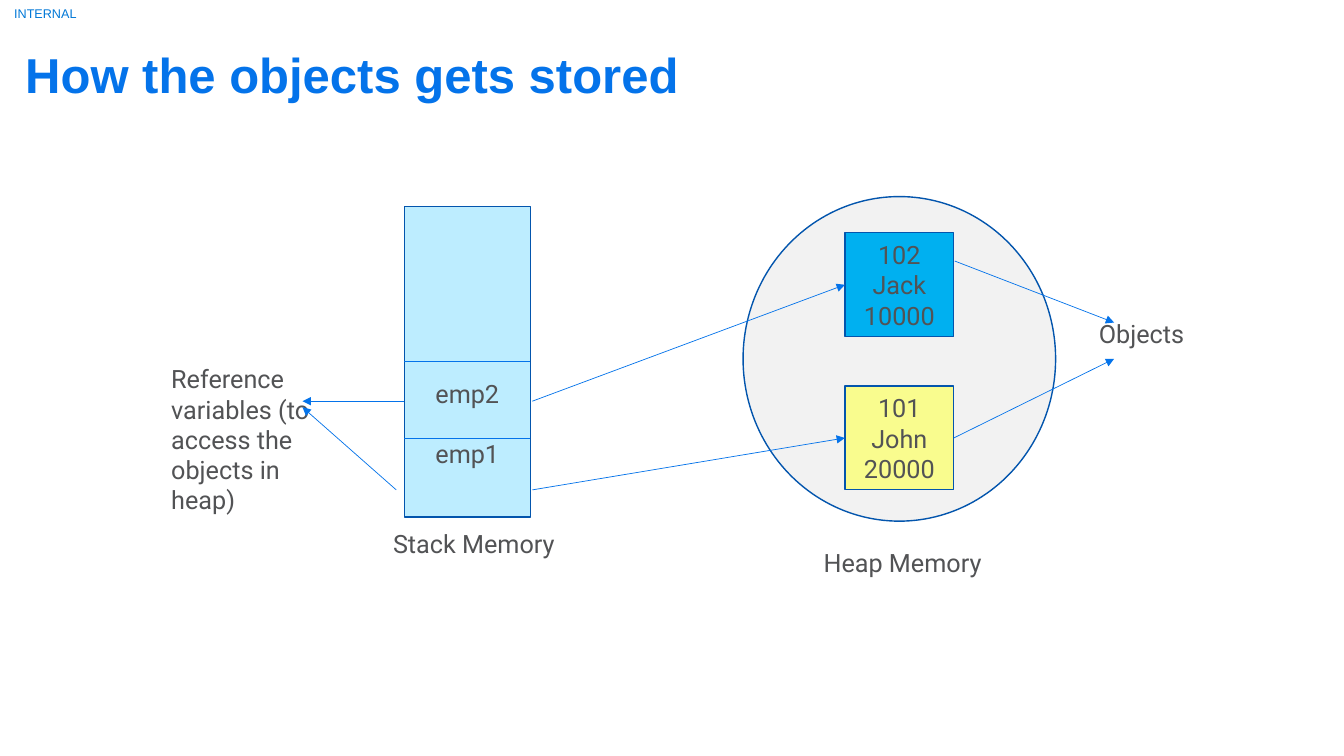
"""Build a slide showing how objects are stored in stack and heap memory."""
from lxml import etree
from pptx import Presentation
from pptx.dml.color import RGBColor
from pptx.enum.shapes import MSO_CONNECTOR, MSO_SHAPE
from pptx.enum.text import MSO_ANCHOR, PP_ALIGN
from pptx.oxml.ns import qn
from pptx.util import Inches, Pt

RECT, OVAL = MSO_SHAPE.RECTANGLE, MSO_SHAPE.OVAL
STRAIGHT = MSO_CONNECTOR.STRAIGHT
LEFT, CENTER = PP_ALIGN.LEFT, PP_ALIGN.CENTER
TOP, MIDDLE, BOTTOM = MSO_ANCHOR.TOP, MSO_ANCHOR.MIDDLE, MSO_ANCHOR.BOTTOM
LEFT_SIDE, RIGHT_SIDE = 1, 3

COLORS = {
    "title": "0473EA", "tag": "0078D7", "text": "525355",
    "outline": "0355AD", "line": "0473EA", "heap": "F2F2F2",
    "stack": "BDEDFF", "jack": "00B0F0", "john": "F9FC8E",
}
TITLE = "How the objects gets stored"
TAG = "INTERNAL"
SHAPES = [
    ("heap", OVAL, (7.37, 1.95, 3.1, 3.22), []),
    ("stack", RECT, (4.01, 2.05, 1.25, 3.08), ["emp2", "emp1"]),
    ("jack", RECT, (8.38, 2.31, 1.08, 1.03), ["102", "Jack", "10000"]),
    ("john", RECT, (8.38, 3.83, 1.08, 1.03), ["101", "John", "20000"]),
]
LABELS = [
    ("Stack Memory", (3.8, 5.19, 1.86, 0.4)),
    ("Heap Memory", (8.07, 5.38, 1.86, 0.4)),
    ("Objects", (10.8, 3.11, 1.86, 0.4)),
    ("Reference variables (to access the objects in heap)",
     (1.6, 3.56, 1.93, 1.31)),
]
DIVIDERS = [
    ((4.01, 4.35), (5.26, 4.35)),
    (("stack", LEFT_SIDE), ("stack", RIGHT_SIDE)),
]
ARROWS = [
    ((5.28, 4.86), ("john", LEFT_SIDE)),
    ((5.28, 3.98), ("jack", LEFT_SIDE)),
    ((9.47, 2.59), (11.05, 3.2)),
    (("john", RIGHT_SIDE), (11.05, 3.56)),
    ((4.01, 3.98), (3, 3.98)),
    ((3.93, 4.86), (3, 4.04)),
]


def rgb(name):
    return RGBColor.from_string(COLORS[name])


def inches(values):
    return [Inches(v) for v in values]


def write(tf, lines, size=18, font="Roboto", color="text", align=LEFT,
          anchor=TOP, bold=False, spacing=None):
    tf.text = "\n".join(lines)
    tf.word_wrap = True
    tf.vertical_anchor = anchor
    for p in tf.paragraphs:
        p.alignment = align
        p.line_spacing = spacing
        for r in p.runs:
            r.font.size = Pt(size)
            r.font.name = font
            r.font.bold = bold
            r.font.color.rgb = rgb(color)


def clear_margins(tf):
    tf.margin_left = tf.margin_top = tf.margin_right = tf.margin_bottom = 0


def add_line(s, boxes, start, end, arrow):
    points = [(0, 0) if e[0] in boxes else e for e in (start, end)]
    c = s.shapes.add_connector(STRAIGHT, *inches(points[0] + points[1]))
    for e, connect in ((start, c.begin_connect), (end, c.end_connect)):
        if e[0] in boxes:
            connect(boxes[e[0]], e[1])
    c.line.color.rgb = rgb("line")
    c.line.width = Pt(0.5)
    if arrow:
        etree.SubElement(c.line._get_or_add_ln(), qn("a:tailEnd"), type="triangle")
    etree.SubElement(c._element.spPr, qn("a:effectLst"))


def main():
    prs = Presentation()
    prs.slide_width, prs.slide_height = inches((13.33, 7.5))
    s = prs.slides.add_slide(prs.slide_layouts[5])

    title = s.shapes.title
    title.left, title.top, title.width, title.height = inches((0.25, 0.44, 10.42, 0.96))
    write(title.text_frame, [TITLE], 35, "Arial", "title", bold=True)
    clear_margins(title.text_frame)

    tag = s.shapes.add_textbox(*inches((0, 0, 0.9, 0.26)))
    write(tag.text_frame, [TAG], 9, "Arial", "tag", CENTER, MIDDLE)
    clear_margins(tag.text_frame)

    boxes = {}
    for name, kind, place, lines in SHAPES:
        sp = s.shapes.add_shape(kind, *inches(place))
        sp.shadow.inherit = False
        sp.fill.solid()
        sp.fill.fore_color.rgb = rgb(name)
        sp.line.color.rgb = rgb("outline")
        sp.line.width = Pt(1)
        if lines:
            write(sp.text_frame, lines, align=CENTER, anchor=MIDDLE)
        boxes[name] = sp

    stack = boxes["stack"].text_frame
    stack.vertical_anchor = BOTTOM
    stack.margin_bottom = Inches(0.48)
    for p in stack.paragraphs:
        p.line_spacing = 2.0

    for start, end in DIVIDERS:
        add_line(s, boxes, start, end, False)
    for text, place in LABELS:
        write(s.shapes.add_textbox(*inches(place)).text_frame, [text])
    for start, end in ARROWS:
        add_line(s, boxes, start, end, True)

    prs.save("out.pptx")


if __name__ == "__main__":
    main()
